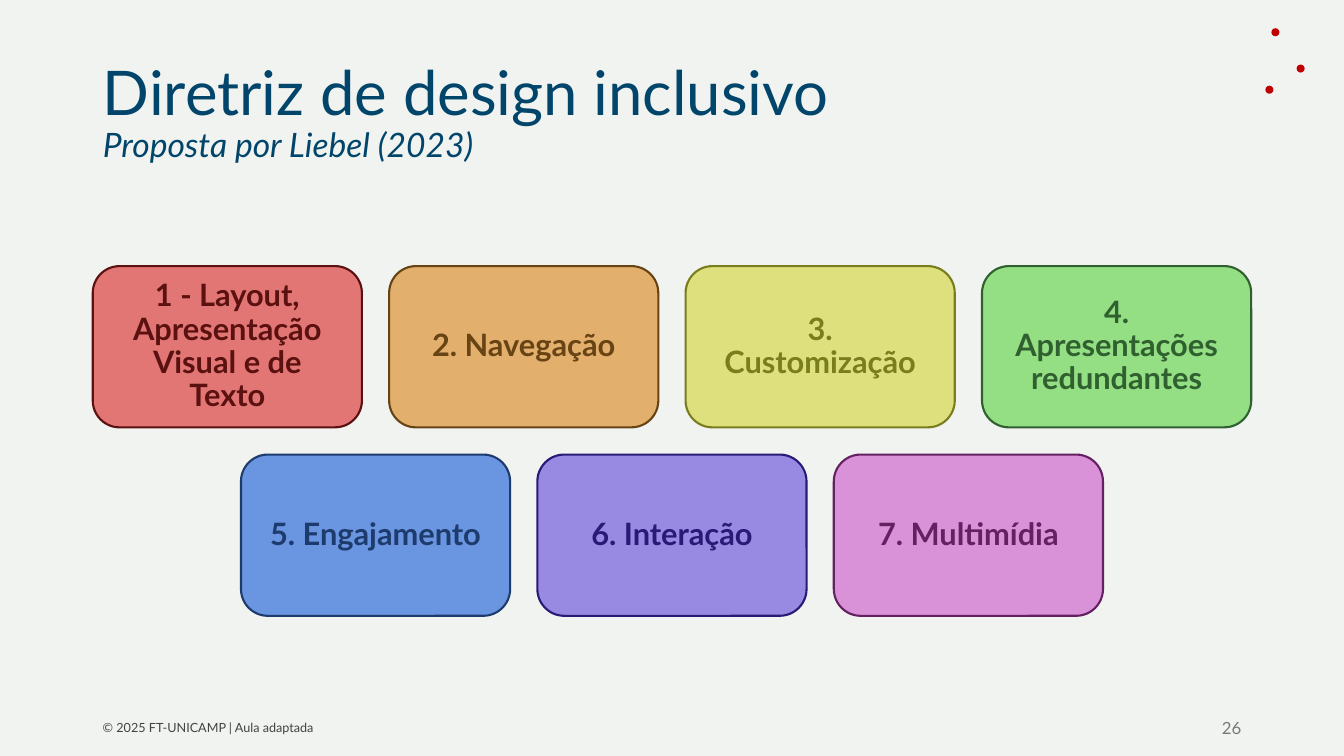
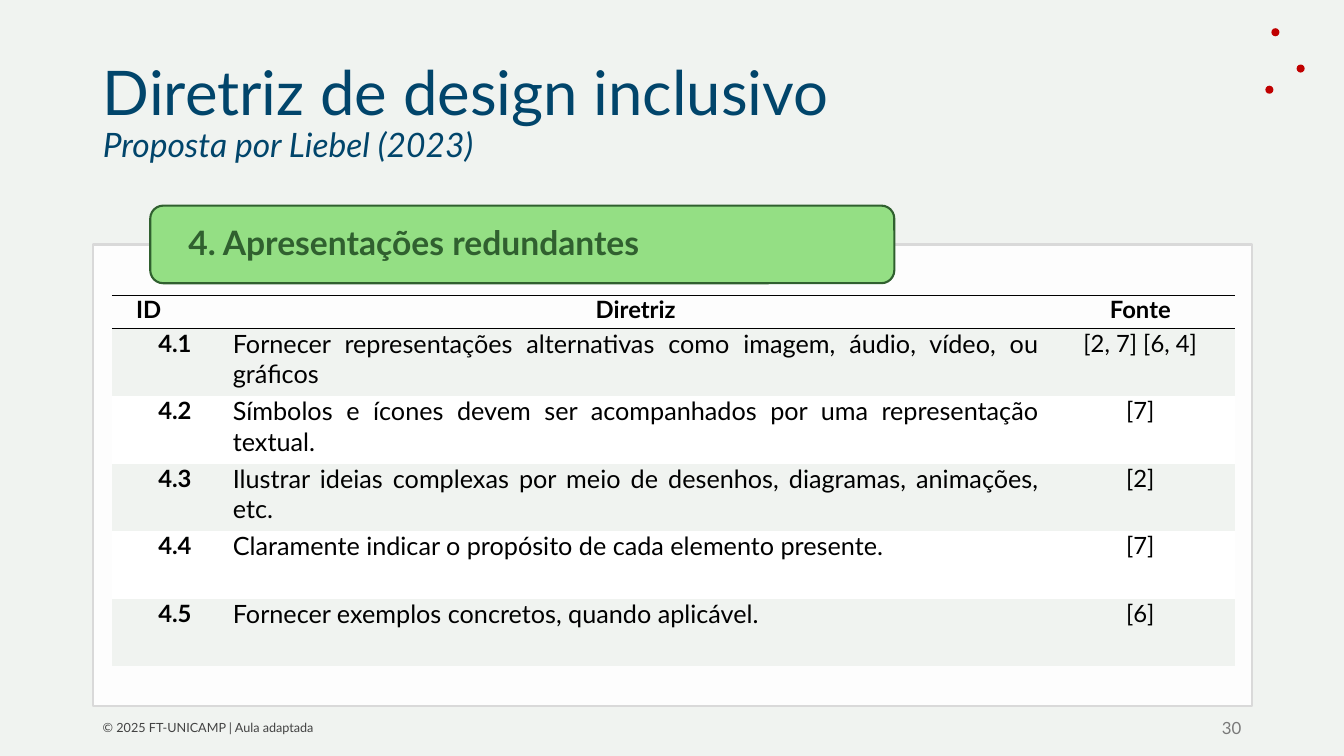
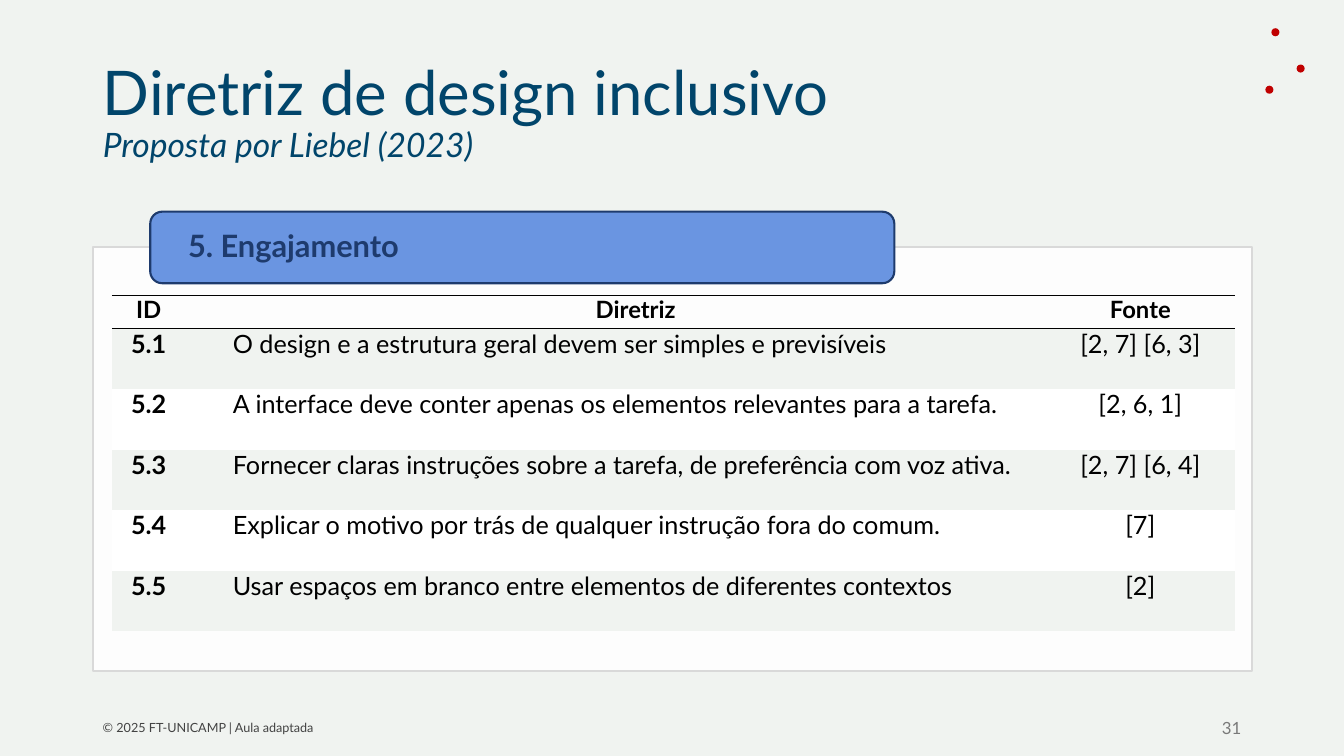
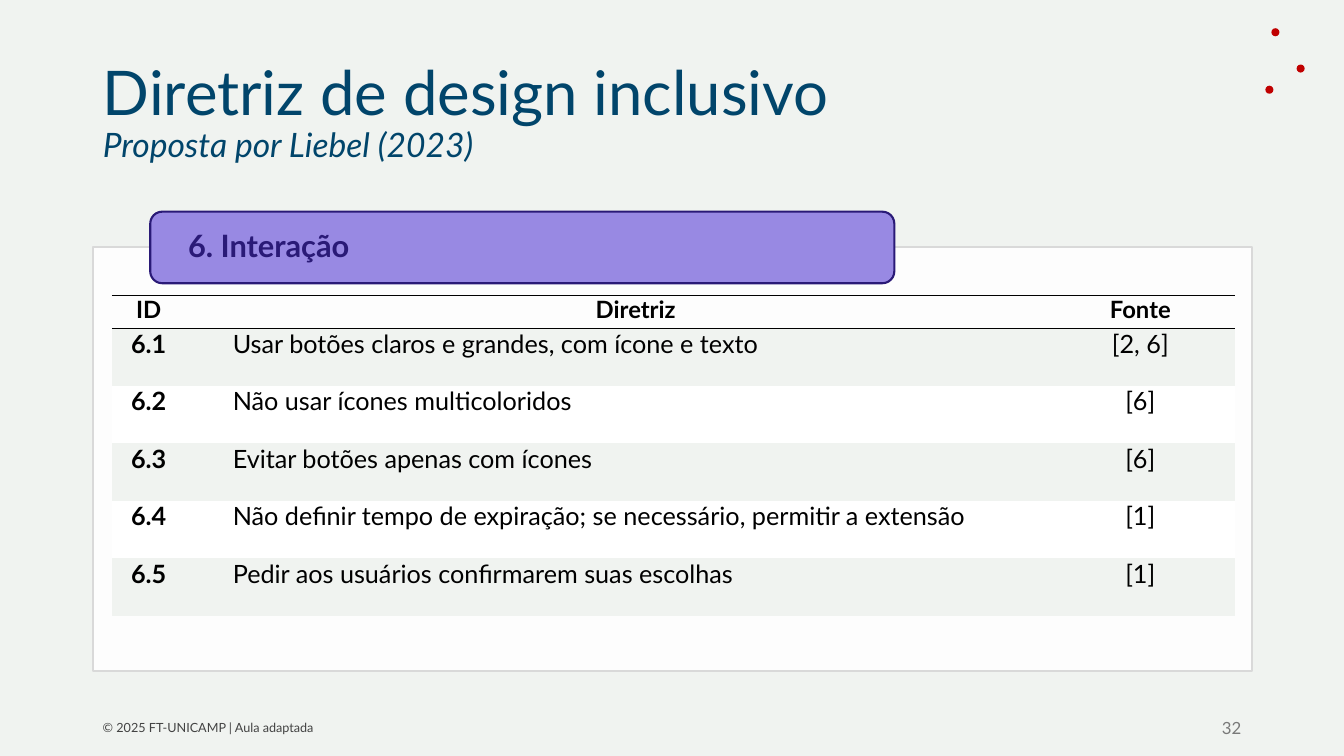
import collections

import pptx
import pptx.dml.color
import pptx.enum.shapes
import pptx.enum.text
import pptx.oxml
import pptx.oxml.ns
import pptx.util
from lxml import etree

Inches = pptx.util.Inches
Pt = pptx.util.Pt
RGBColor = pptx.dml.color.RGBColor
SHAPE = pptx.enum.shapes.MSO_SHAPE
ALIGN = pptx.enum.text.PP_ALIGN
MIDDLE = pptx.enum.text.MSO_ANCHOR.MIDDLE
qn = pptx.oxml.ns.qn

# Colours
BACKGROUND = RGBColor(0xF0, 0xF3, 0xF0)
WHITE = RGBColor(0xFF, 0xFF, 0xFF)
BLACK = RGBColor(0x00, 0x00, 0x00)
TITLE_BLUE = RGBColor(0x01, 0x45, 0x6B)
DOT_RED = RGBColor(0xC0, 0x00, 0x00)
PANEL_GREY = RGBColor(0xD9, 0xD9, 0xD9)
FOOTER_GREY = RGBColor(0x42, 0x42, 0x42)
NUMBER_GREY = RGBColor(0x79, 0x79, 0x79)

# Categories of the guideline, each with its light and dark shade
Category = collections.namedtuple("Category", "label light dark")
LAYOUT = Category("1 - Layout, Apresentação Visual e de Texto",
                  RGBColor(0xE2, 0x76, 0x74), RGBColor(0x5A, 0x11, 0x10))
NAVIGATION = Category("2. Navegação", RGBColor(0xE3, 0xAF, 0x6D), RGBColor(0x68, 0x44, 0x15))
CUSTOMIZATION = Category("3. Customização", RGBColor(0xDD, 0xE0, 0x7C), RGBColor(0x79, 0x7D, 0x1D))
REDUNDANCY = Category("4. Apresentações redundantes",
                      RGBColor(0x94, 0xDF, 0x84), RGBColor(0x30, 0x60, 0x2F))
ENGAGEMENT = Category("5. Engajamento", RGBColor(0x6A, 0x95, 0xE1), RGBColor(0x1E, 0x3B, 0x6D))
INTERACTION = Category("6. Interação", RGBColor(0x98, 0x89, 0xE3), RGBColor(0x2A, 0x1A, 0x77))
MULTIMEDIA = Category("7. Multimídia", RGBColor(0xD9, 0x91, 0xD7), RGBColor(0x64, 0x21, 0x62))

SLIDE_WIDTH, SLIDE_HEIGHT = 13.33, 7.5
MARGIN = 0.92
NO_STYLE_NO_GRID = "{2D5ABB26-0587-4C30-8999-92F81FD0307C}"


class Deck:
    """Holds the shared style and the slide being built."""

    font = "Lato"

    def __init__(self):
        self.prs = pptx.Presentation()
        self.prs.slide_width = Inches(SLIDE_WIDTH)
        self.prs.slide_height = Inches(SLIDE_HEIGHT)
        background = self.prs.slide_master.background.fill
        background.solid()
        background.fore_color.rgb = BACKGROUND
        self.slide = None

    def new_slide(self, number):
        """Add a slide with its dots, title and footer."""
        self.slide = self.prs.slides.add_slide(self.prs.slide_layouts[5])
        for left, top in ((12.55, 0.85), (12.86, 0.64), (12.61, 0.28)):
            self.shape(SHAPE.OVAL, left, top, 0.08, 0.08, DOT_RED)
        self.title("Diretriz de design inclusivo", "Proposta por Liebel (2023)")
        self.text("© 2025 FT-UNICAMP | Aula adaptada", MARGIN, 7.06, 3, 0.32, 9, FOOTER_GREY)
        self.text(str(number), 9.83, 7.09, 2.58, 0.26, 12, NUMBER_GREY, ALIGN.RIGHT)

    def style(self, paragraph, size, color, bold=False, align=ALIGN.LEFT):
        paragraph.alignment = align
        for run in paragraph.runs:
            run.font.name = self.font
            run.font.size = Pt(size)
            run.font.bold = bold
            run.font.color.rgb = color

    def title(self, heading, subtitle):
        title = self.slide.shapes.title
        title.left, title.top = Inches(MARGIN), Inches(0.4)
        title.width, title.height = Inches(10.86), Inches(1.45)
        frame = title.text_frame
        frame.text = heading + "\v" + subtitle
        frame.auto_size = pptx.enum.text.MSO_AUTO_SIZE.NONE
        frame.vertical_anchor = MIDDLE
        paragraph = frame.paragraphs[0]
        paragraph.line_spacing = 0.9
        self.style(paragraph, 44, TITLE_BLUE)
        paragraph.runs[1].font.size = Pt(24)
        paragraph.runs[1].font.italic = True

    def text(self, words, left, top, width, height, size, color, align=ALIGN.LEFT):
        box = self.slide.shapes.add_textbox(Inches(left), Inches(top), Inches(width), Inches(height))
        frame = box.text_frame
        frame.word_wrap = True
        frame.vertical_anchor = MIDDLE
        frame.text = words
        self.style(frame.paragraphs[0], size, color, align=align)

    def shape(self, kind, left, top, width, height, fill, line=None):
        shape = self.slide.shapes.add_shape(
            kind, Inches(left), Inches(top), Inches(width), Inches(height))
        shape.shadow.inherit = False
        shape.fill.solid()
        shape.fill.fore_color.rgb = fill
        if line is None:
            shape.line.fill.background()
        else:
            shape.line.color.rgb = line
            shape.line.width = Pt(1.5)
        return shape

    def category_box(self, category, left, top, width, height, size, align, inset):
        box = self.shape(SHAPE.ROUNDED_RECTANGLE, left, top, width, height,
                         category.light, category.dark)
        frame = box.text_frame
        frame.margin_left = frame.margin_right = Inches(inset)
        frame.word_wrap = True
        frame.vertical_anchor = MIDDLE
        frame.text = category.label
        frame.paragraphs[0].line_spacing = 0.9
        self.style(frame.paragraphs[0], size, category.dark, True, align)

    def card_row(self, categories, top):
        """Place equal cards in a row centred on the slide."""
        width, gap = 2.67, 0.27
        count = len(categories)
        start = (SLIDE_WIDTH - count * width - (count - 1) * gap) / 2
        for index, category in enumerate(categories):
            self.category_box(category, start + index * (width + gap), top,
                              width, 1.6, 22, ALIGN.CENTER, 0.17)

    def panel(self, category, height, tab_height, label_size):
        """White panel whose upper edge runs through the middle of its tab."""
        tab_bottom = 2.81
        panel = self.shape(SHAPE.RECTANGLE, MARGIN, tab_bottom - tab_height / 2,
                           11.5, height, WHITE, PANEL_GREY)
        fill_color = panel.fill._xPr.find(qn("a:solidFill"))[0]
        etree.SubElement(fill_color, qn("a:alpha"), val="90000")
        self.category_box(category, 1.49, tab_bottom - tab_height, 7.38, tab_height,
                          label_size, ALIGN.LEFT, 0.34)

    def cell(self, cell, words, size, bold, align, fill=None, indent=0):
        cell.margin_left = cell.margin_right = Inches(0.07)
        cell.margin_top = cell.margin_bottom = 0
        cell.text = words
        paragraph = cell.text_frame.paragraphs[0]
        self.style(paragraph, size, BLACK, bold, align)
        if indent:
            paragraph._p.get_or_add_pPr().set("marL", str(Inches(indent)))
        if fill is None:
            cell.fill.background()
        else:
            cell.fill.solid()
            cell.fill.fore_color.rgb = fill

    def rule(self, cell):
        """Draw a black line above and below a cell."""
        for side in ("lnB", "lnT"):
            border = pptx.oxml.parse_xml(
                f'<a:{side} {pptx.oxml.ns.nsdecls("a")} w="{Pt(1)}"><a:solidFill>'
                f'<a:srgbClr val="{BLACK}"/></a:solidFill></a:{side}>')
            cell._tc.get_or_add_tcPr().insert(0, border)

    def guidelines(self, number, rows, row_height, size=18, id_align=ALIGN.LEFT):
        """Table of numbered guidelines with their sources."""
        widths, header_height = (1.13, 8.13, 1.88), 0.33
        table = self.slide.shapes.add_table(
            len(rows) + 1, 3, Inches(1.11), Inches(2.93), Inches(sum(widths)),
            Inches(header_height + len(rows) * row_height)).table
        table._tbl.tblPr.find(qn("a:tableStyleId")).text = NO_STYLE_NO_GRID
        for column, width in zip(table.columns, widths):
            column.width = Inches(width)

        # Header
        table.rows[0].height = Inches(header_height)
        self.cell(table.cell(0, 0), "ID", 17, True, ALIGN.LEFT, indent=0.17)
        self.cell(table.cell(0, 1), "Diretriz", 17, True, ALIGN.CENTER)
        self.cell(table.cell(0, 2), "Fonte", 17, True, ALIGN.CENTER)
        for column in range(3):
            self.rule(table.cell(0, column))

        # Body
        for index, (guideline, source) in enumerate(rows, 1):
            table.rows[index].height = Inches(row_height)
            band = BACKGROUND if index % 2 else WHITE
            self.cell(table.cell(index, 0), f"{number}.{index}", size, True, id_align, band, 0.12)
            self.cell(table.cell(index, 1), guideline, 18, False, ALIGN.JUSTIFY, band)
            self.cell(table.cell(index, 2), source, size, False, ALIGN.CENTER, band)


def main():
    deck = Deck()

    # Overview of the seven categories
    deck.new_slide(26)
    deck.card_row((LAYOUT, NAVIGATION, CUSTOMIZATION, REDUNDANCY), 2.64)
    deck.card_row((ENGAGEMENT, INTERACTION, MULTIMEDIA), 4.51)

    # Redundant presentations
    deck.new_slide(30)
    deck.panel(REDUNDANCY, 4.58, 0.77, 24)
    deck.guidelines(4, (
        ("Fornecer representações alternativas como imagem, áudio, vídeo, ou gráficos",
         "[2, 7] [6, 4]"),
        ("Símbolos e ícones devem ser acompanhados por uma representação textual.", "[7]"),
        ("Ilustrar ideias complexas por meio de desenhos, diagramas, animações, etc.", "[2]"),
        ("Claramente indicar o propósito de cada elemento presente.", "[7]"),
        ("Fornecer exemplos concretos, quando aplicável.", "[6]"),
    ), 0.67, 17, ALIGN.CENTER)

    # Engagement
    deck.new_slide(31)
    deck.panel(ENGAGEMENT, 4.2, 0.71, 22)
    deck.guidelines(5, (
        ("O design e a estrutura geral devem ser simples e previsíveis", "[2, 7] [6, 3]"),
        ("A interface deve conter apenas os elementos relevantes para a tarefa.", "[2, 6, 1]"),
        ("Fornecer claras instruções sobre a tarefa, de preferência com voz ativa.",
         "[2, 7] [6, 4]"),
        ("Explicar o motivo por trás de qualquer instrução fora do comum.", "[7]"),
        ("Usar espaços em branco entre elementos de diferentes contextos", "[2]"),
    ), 0.6)

    # Interaction
    deck.new_slide(32)
    deck.panel(INTERACTION, 4.2, 0.71, 22)
    deck.guidelines(6, (
        ("Usar botões claros e grandes, com ícone e texto", "[2, 6]"),
        ("Não usar ícones multicoloridos", "[6]"),
        ("Evitar botões apenas com ícones", "[6]"),
        ("Não definir tempo de expiração; se necessário, permitir a extensão", "[1]"),
        ("Pedir aos usuários confirmarem suas escolhas", "[1]"),
    ), 0.57)

    deck.prs.save("out.pptx")


if __name__ == "__main__":
    main()
